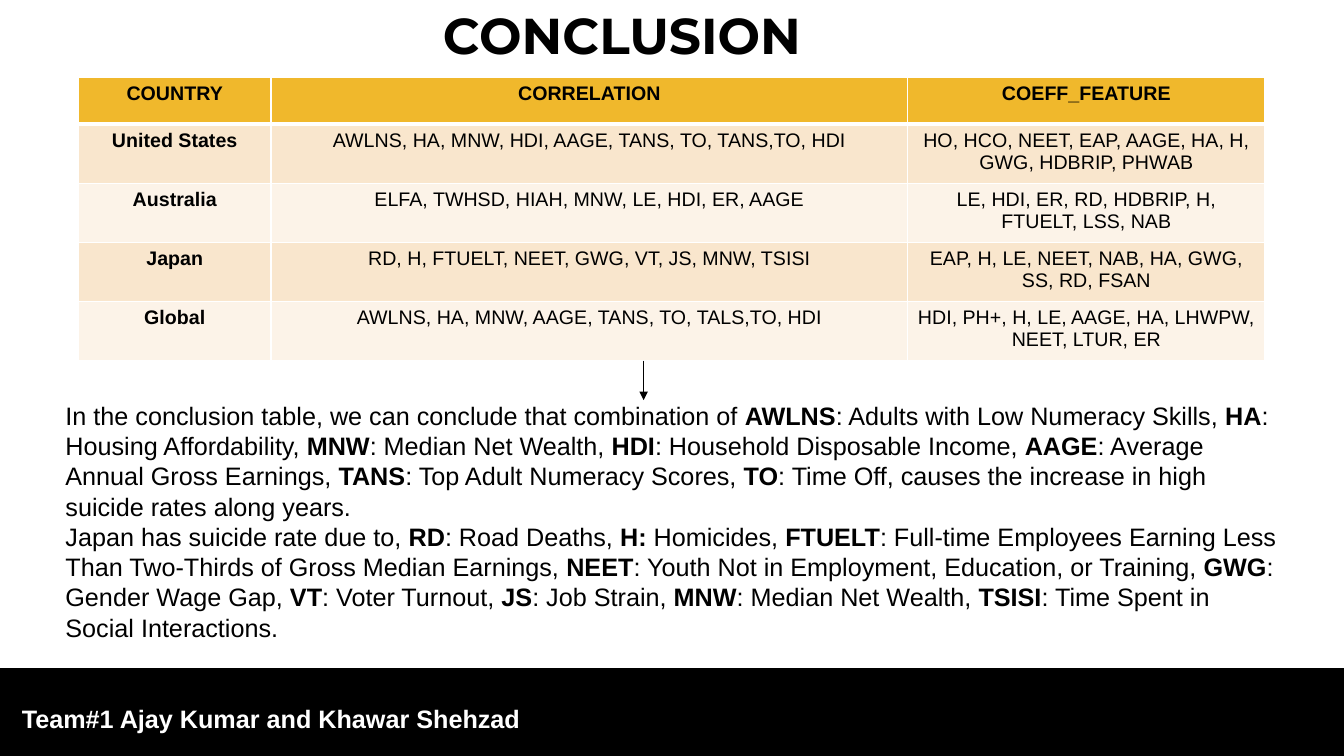
"""Build the conclusion slide: a table of features per country and its reading."""
from dataclasses import dataclass

import lxml.etree
import pptx
import pptx.dml.color
import pptx.enum.shapes
import pptx.enum.text
import pptx.oxml.ns
import pptx.util

Cm = pptx.util.Cm
Pt = pptx.util.Pt
ALIGN = pptx.enum.text.PP_ALIGN
ANCHOR = pptx.enum.text.MSO_ANCHOR


@dataclass(frozen=True)
class Theme:
    """Colours, fonts and type sizes."""
    ink: str = "000000"
    paper: str = "FFFFFF"
    header: str = "F0B82C"
    bands: tuple = ("F9E6CD", "FCF3E8")
    title_font: str = "Montserrat"
    body_font: str = "Arial"
    title_size: int = 36
    body_size: int = 18
    cell_size: int = 14


def rgb(value):
    """Return a colour object for a hex value."""
    return pptx.dml.color.RGBColor.from_string(value)


def add_element(parent, tag, **attributes):
    """Append a DrawingML element to a parent."""
    return lxml.etree.SubElement(parent, pptx.oxml.ns.qn(tag), attributes)


def write(frame, text, *, font, size, color, bold=False, align=ALIGN.LEFT, spacing=None):
    """Fill a text frame, one paragraph a line; ** switches bold on and off."""
    frame.word_wrap = True
    for index, line in enumerate(text.split("\n")):
        para = frame.add_paragraph() if index else frame.paragraphs[0]
        para.alignment = align
        if spacing:
            para.line_spacing = spacing
        for position, part in enumerate(line.split("**")):
            if not part:
                continue
            span = para.add_run()
            span.text = part
            span.font.name = font
            span.font.size = Pt(size)
            span.font.color.rgb = rgb(color)
            span.font.bold = bold or position % 2 == 1


class Page:
    """Holds the theme and the current slide."""

    def __init__(self, slide, theme):
        """Keep the slide's shapes and the theme."""
        self.shapes = slide.shapes
        self.theme = theme

    def bar(self, left, top, width, height):
        """Add a solid rectangle."""
        box = self.shapes.add_shape(
            pptx.enum.shapes.MSO_SHAPE.RECTANGLE, Cm(left), Cm(top), Cm(width), Cm(height))
        box.shadow.inherit = False
        box.fill.solid()
        box.fill.fore_color.rgb = rgb(self.theme.ink)
        box.line.color.rgb = rgb(self.theme.ink)
        box.line.width = Pt(1)

    def text(self, text, left, top, width, height, anchor=ANCHOR.TOP, **text_format):
        """Add a text box."""
        box = self.shapes.add_textbox(Cm(left), Cm(top), Cm(width), Cm(height))
        box.text_frame.vertical_anchor = anchor
        defaults = {"font": self.theme.body_font, "size": self.theme.body_size,
                    "color": self.theme.ink}
        write(box.text_frame, text, **(defaults | text_format))

    def arrow(self, x, top, bottom):
        """Add a downward arrow."""
        line = self.shapes.add_connector(
            pptx.enum.shapes.MSO_CONNECTOR.STRAIGHT, Cm(x), Cm(top), Cm(x), Cm(bottom))
        line.line.color.rgb = rgb(self.theme.ink)
        line.line.width = Pt(0.5)
        add_element(line.line._get_or_add_ln(), "a:tailEnd", type="triangle")
        add_element(line._element.spPr, "a:effectLst")

    def borders(self, cell, row):
        """Draw cell edges, with a thicker rule under the header."""
        properties = cell._tc.get_or_add_tcPr()
        widths = {"L": 1, "R": 1, "T": 3 if row == 1 else 1, "B": 3 if row == 0 else 1}
        for side, width in widths.items():
            edge = add_element(properties, f"a:ln{side}", w=str(Pt(width)))
            fill = add_element(edge, "a:solidFill")
            add_element(fill, "a:srgbClr", val=self.theme.paper)

    def table(self, rows, left, top, widths, heights):
        """Add a table with a header row, banded rows and bold first column."""
        grid = self.shapes.add_table(
            len(rows), len(widths), Cm(left), Cm(top), Cm(sum(widths)), Cm(sum(heights))).table
        for column, width in zip(grid.columns, widths):
            column.width = Cm(width)
        for row, (values, height) in enumerate(zip(rows, heights)):
            grid.rows[row].height = Cm(height)
            color = self.theme.bands[(row - 1) % 2] if row else self.theme.header
            for column, value in enumerate(values):
                cell = grid.cell(row, column)
                self.borders(cell, row)
                cell.fill.solid()
                cell.fill.fore_color.rgb = rgb(color)
                write(cell.text_frame, value, font=self.theme.body_font,
                      size=self.theme.cell_size, color=self.theme.ink,
                      bold=row == 0 or column == 0, align=ALIGN.CENTER)


FEATURES = [
    ("COUNTRY", "CORRELATION", "COEFF_FEATURE"),
    ("United States", "AWLNS, HA, MNW, HDI, AAGE, TANS, TO, TANS,TO, HDI",
     "HO, HCO, NEET, EAP, AAGE, HA, H, GWG, HDBRIP, PHWAB"),
    ("Australia", "ELFA, TWHSD, HIAH, MNW, LE, HDI, ER, AAGE",
     "LE, HDI, ER, RD, HDBRIP, H, FTUELT, LSS, NAB"),
    ("Japan", "RD, H, FTUELT, NEET, GWG, VT, JS, MNW, TSISI",
     "EAP, H, LE, NEET, NAB, HA, GWG, SS, RD, FSAN"),
    ("Global", "AWLNS, HA, MNW, AAGE, TANS, TO, TALS,TO, HDI",
     "HDI, PH+, H, LE, AAGE, HA, LHWPW, NEET, LTUR, ER"),
]

READING = (
    "In the conclusion table, we can conclude that combination of "
    "**AWLNS**: Adults with Low Numeracy Skills, **HA**: Housing Affordability, "
    "**MNW**: Median Net Wealth, **HDI**: Household Disposable Income, "
    "**AAGE**: Average Annual Gross Earnings, **TANS**: Top Adult Numeracy Scores, "
    "**TO**: Time Off, causes the increase in high suicide rates along years.\n"
    "Japan has suicide rate due to, **RD**: Road Deaths, **H:** Homicides, "
    "**FTUELT**: Full-time Employees Earning Less Than Two-Thirds of Gross Median Earnings, "
    "**NEET**: Youth Not in Employment, Education, or Training, "
    "**GWG**: Gender Wage Gap, **VT**: Voter Turnout, **JS**: Job Strain, "
    "**MNW**: Median Net Wealth, **TSISI**: Time Spent in Social Interactions."
)


def main():
    """Build and save the deck."""
    deck = pptx.Presentation()
    deck.slide_width, deck.slide_height = Cm(33.87), Cm(19.05)
    theme = Theme()
    page = Page(deck.slides.add_slide(deck.slide_layouts[6]), theme)
    page.bar(0, 16.84, 33.87, 2.21)
    page.text("CONCLUSION", 1.4, 0.03, 28.55, 1.85, anchor=ANCHOR.MIDDLE,
              font=theme.title_font, size=theme.title_size, bold=True,
              align=ALIGN.CENTER, spacing=0.9)
    page.text("Team#1 Ajay Kumar and Khawar Shehzad", 0.3, 17.6, 13.31, 1.02,
              color=theme.paper, bold=True)
    page.table(FEATURES, 1.98, 1.96, [4.85, 16.05, 9], [1.17] + [1.49] * 4)
    page.arrow(16.22, 9.09, 10.08)
    page.text(READING, 1.4, 9.96, 31.19, 6.4)
    deck.save("out.pptx")


if __name__ == "__main__":
    main()
